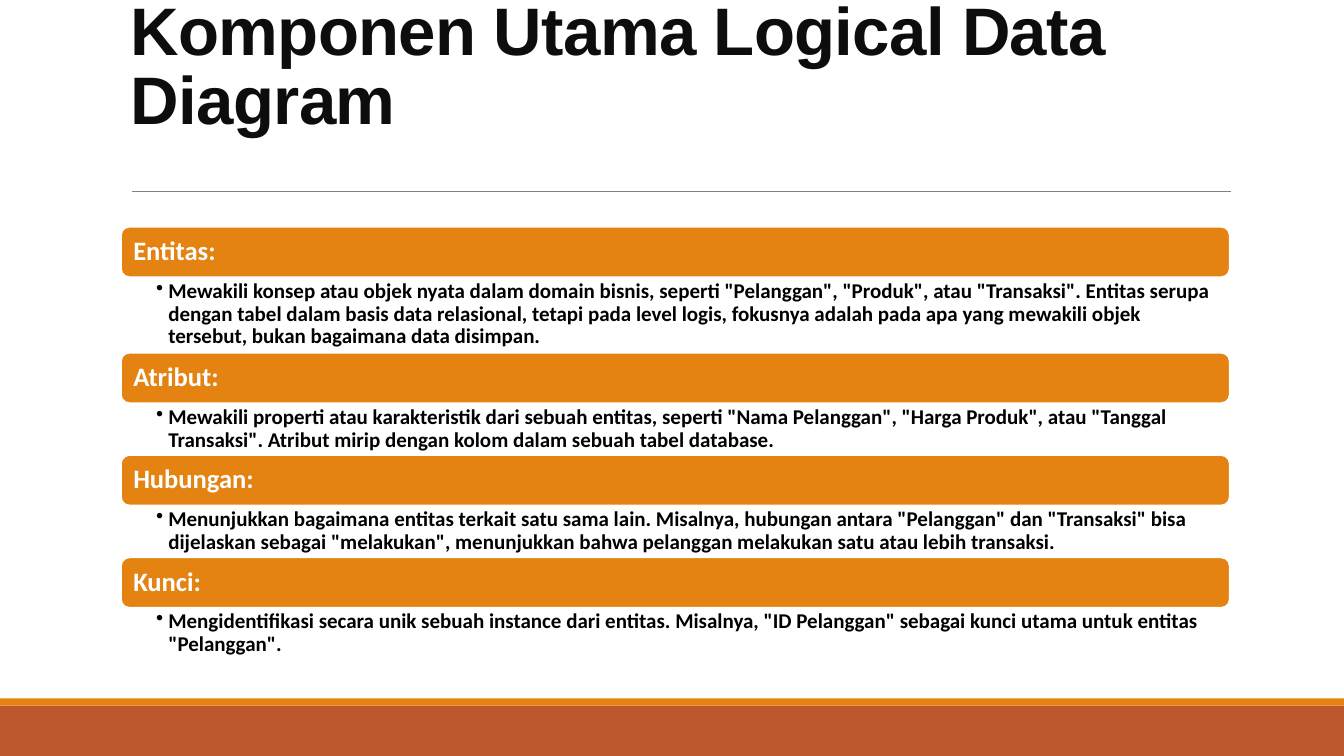
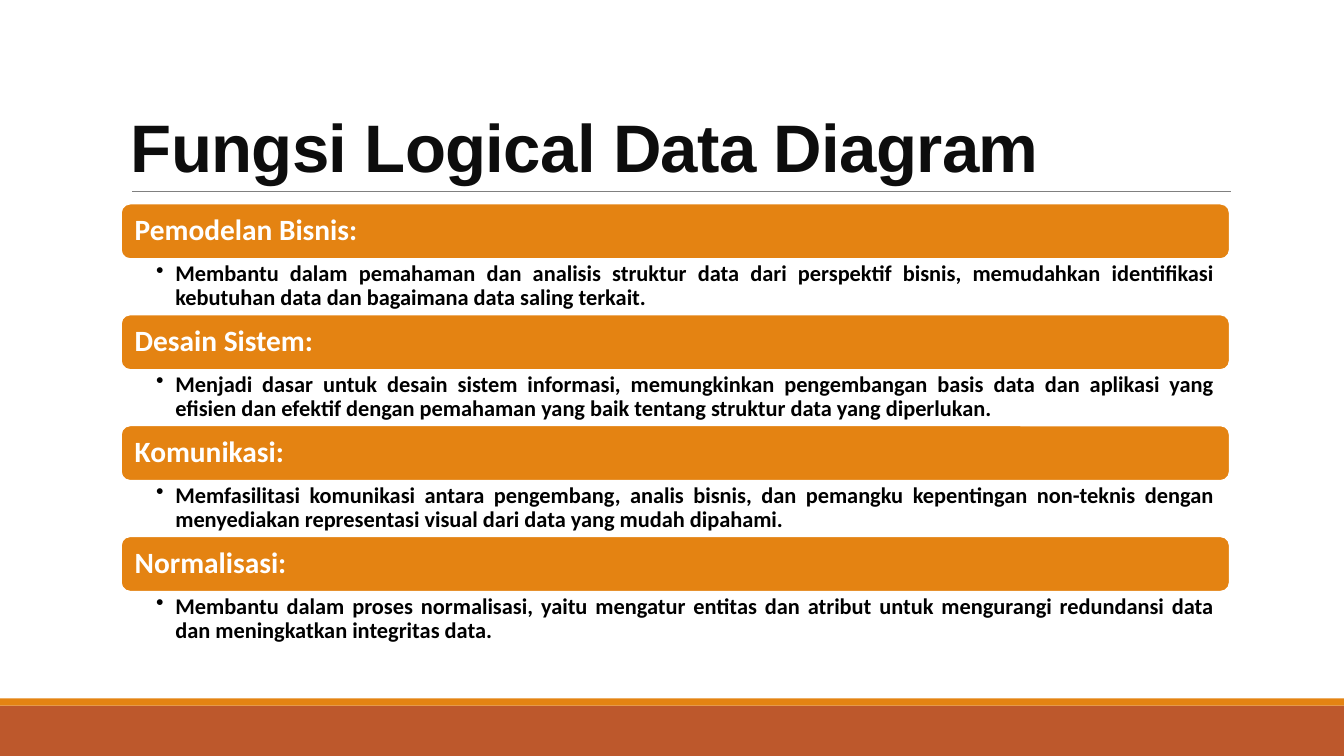
from lxml import etree
from pptx import Presentation
from pptx import util as u
from pptx.dml.color import RGBColor
from pptx.enum import shapes, text
from pptx.oxml import ns

COLORS = {
    "accent": "E48312",
    "footer": "BD582C",
    "rule": "808080",
    "title": "0D0D0D",
    "body": "000000",
    "white": "FFFFFF",
}
TITLE_FONT, BODY_FONT = "Arial", "Calibri"
CELL = 0.1  # inches per grid column and row
COLUMNS, ROWS = 133.33, 75
LEFT, WIDTH = 12, 110


def grid(cells):
    return u.Inches(cells * CELL)


def color(name):
    return RGBColor.from_string(COLORS[name])


class Deck:
    """Holds the shared style and the current slide."""

    def __init__(self):
        self.presentation = Presentation()
        self.presentation.slide_width = grid(COLUMNS)
        self.presentation.slide_height = grid(ROWS)
        self.slide = None

    def new_slide(self, title, title_bottom):
        self.slide = self.presentation.slides.add_slide(self.presentation.slide_layouts[6])
        # Footer bands and title rule
        self.block(shapes.MSO_SHAPE.RECTANGLE, 0, 70, COLUMNS, 5, "footer")
        self.block(shapes.MSO_SHAPE.RECTANGLE, 0, 69.3, COLUMNS, 0.7, "accent")
        self.rule(13.1, 122.1, 19)
        self.title(title, title_bottom)

    def block(self, kind, left, top, width, height, fill, outline=None):
        shape = self.slide.shapes.add_shape(kind, *map(grid, (left, top, width, height)))
        shape.shadow.inherit = False
        shape.fill.solid()
        shape.fill.fore_color.rgb = color(fill)
        if outline:
            shape.line.color.rgb = color(outline)
            shape.line.width = u.Pt(1.25)
        else:
            shape.line.fill.background()
        return shape

    def rule(self, start, end, row):
        line = self.slide.shapes.add_connector(
            shapes.MSO_CONNECTOR.STRAIGHT, grid(start), grid(row), grid(end), grid(row))
        line.line.color.rgb = color("rule")
        line.line.width = u.Pt(0.5)
        etree.SubElement(line._element.spPr, ns.qn("a:effectLst"))

    def set_text(self, shape, words, insets, anchor, size, ink, font=BODY_FONT,
                 spacing=0.9, align=text.PP_ALIGN.LEFT, hanging=None):
        frame = shape.text_frame
        frame.word_wrap = True
        frame.vertical_anchor = anchor
        (frame.margin_left, frame.margin_top,
         frame.margin_right, frame.margin_bottom) = map(grid, insets)
        paragraph = frame.paragraphs[0]
        paragraph.text = words
        paragraph.alignment = align
        paragraph.line_spacing = spacing
        if hanging:
            properties = paragraph._p.get_or_add_pPr()
            properties.set("marL", str(grid(hanging)))
            properties.set("indent", str(-grid(hanging)))
            etree.SubElement(properties, ns.qn("a:buChar")).set("char", "•")
        paragraph.font.name = font
        paragraph.font.size = u.Pt(size)
        paragraph.font.bold = True
        paragraph.font.color.rgb = color(ink)
        return paragraph

    def text_box(self, left, top, width, height):
        return self.slide.shapes.add_textbox(*map(grid, (left, top, width, height)))

    def title(self, words, bottom):
        top = 3.1
        box = self.text_box(LEFT, top, WIDTH, bottom - top)
        paragraph = self.set_text(box, words, (1, 0.5, 1, 0.5), text.MSO_ANCHOR.BOTTOM,
                                  48, "title", TITLE_FONT, 0.85)
        # Slightly tightened letter spacing
        paragraph._p.get_or_add_pPr().get_or_add_defRPr().set("spc", "-50")

    def sections(self, items, top, bar_height, bar_size, body_size, inset, hanging, align):
        """Stack a coloured heading bar and a bulleted text for each item."""
        for heading, body, body_height in items:
            bar = self.block(shapes.MSO_SHAPE.ROUNDED_RECTANGLE, LEFT, top, WIDTH,
                             bar_height, "accent", "white")
            self.set_text(bar, heading, (inset, 0, inset, 0), text.MSO_ANCHOR.MIDDLE,
                          bar_size, "white")
            top += bar_height
            box = self.text_box(LEFT, top, WIDTH, body_height)
            self.set_text(box, body, (3.5, 0.3, 1.5, 0.3), text.MSO_ANCHOR.TOP,
                          body_size, "body", align=align, hanging=hanging)
            top += body_height


# Heading, text and text height in rows
COMPONENTS = [
    ("Entitas:",
     'Mewakili konsep atau objek nyata dalam domain bisnis, seperti "Pelanggan", "Produk", '
     'atau "Transaksi". Entitas serupa dengan tabel dalam basis data relasional, tetapi pada '
     'level logis, fokusnya adalah pada apa yang mewakili objek tersebut, bukan bagaimana '
     'data disimpan.', 7.5),
    ("Atribut:",
     'Mewakili properti atau karakteristik dari sebuah entitas, seperti "Nama Pelanggan", '
     '"Harga Produk", atau "Tanggal Transaksi". Atribut mirip dengan kolom dalam sebuah '
     'tabel database.', 5.15),
    ("Hubungan:",
     'Menunjukkan bagaimana entitas terkait satu sama lain. Misalnya, hubungan antara '
     '"Pelanggan" dan "Transaksi" bisa dijelaskan sebagai "melakukan", menunjukkan bahwa '
     'pelanggan melakukan satu atau lebih transaksi.', 5.15),
    ("Kunci:",
     'Mengidentifikasi secara unik sebuah instance dari entitas. Misalnya, "ID Pelanggan" '
     'sebagai kunci utama untuk entitas "Pelanggan".', 5.15),
]
FUNCTIONS = [
    ("Pemodelan Bisnis:",
     "Membantu dalam pemahaman dan analisis struktur data dari perspektif bisnis, memudahkan "
     "identifikasi kebutuhan data dan bagaimana data saling terkait.", 5.5),
    ("Desain Sistem:",
     "Menjadi dasar untuk desain sistem informasi, memungkinkan pengembangan basis data dan "
     "aplikasi yang efisien dan efektif dengan pemahaman yang baik tentang struktur data yang "
     "diperlukan.", 5.5),
    ("Komunikasi:",
     "Memfasilitasi komunikasi antara pengembang, analis bisnis, dan pemangku kepentingan "
     "non-teknis dengan menyediakan representasi visual dari data yang mudah dipahami.", 5.5),
    ("Normalisasi:",
     "Membantu dalam proses normalisasi, yaitu mengatur entitas dan atribut untuk mengurangi "
     "redundansi data dan meningkatkan integritas data.", 5.5),
]


def main():
    deck = Deck()
    # Main components
    deck.new_slide("Komponen Utama Logical Data Diagram", title_bottom=14.2)
    deck.sections(COMPONENTS, top=22.5, bar_height=5, bar_size=19, body_size=15,
                  inset=1, hanging=1.2, align=text.PP_ALIGN.LEFT)
    # Functions
    deck.new_slide("Fungsi Logical Data Diagram", title_bottom=19)
    deck.sections(FUNCTIONS, top=20.2, bar_height=5.5, bar_size=21, body_size=16,
                  inset=1.1, hanging=1.9, align=text.PP_ALIGN.JUSTIFY)
    deck.presentation.save("out.pptx")


if __name__ == "__main__":
    main()
